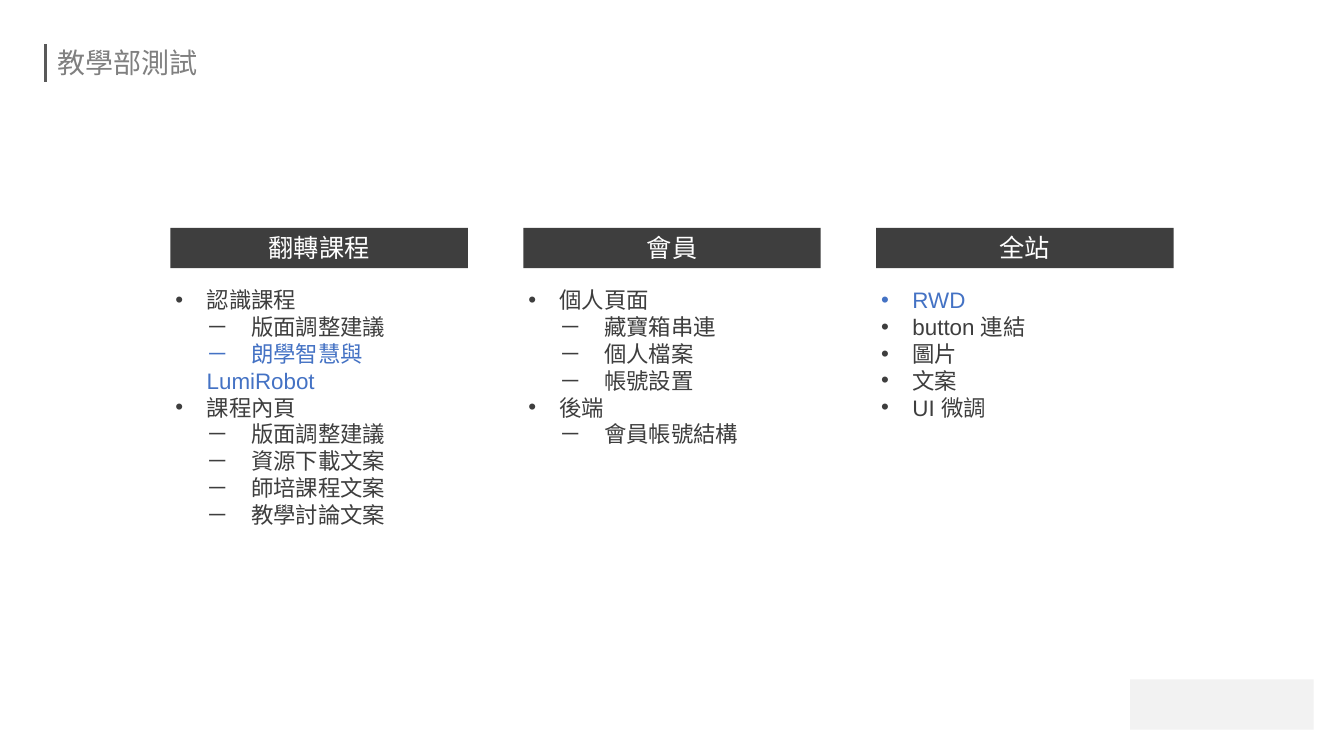
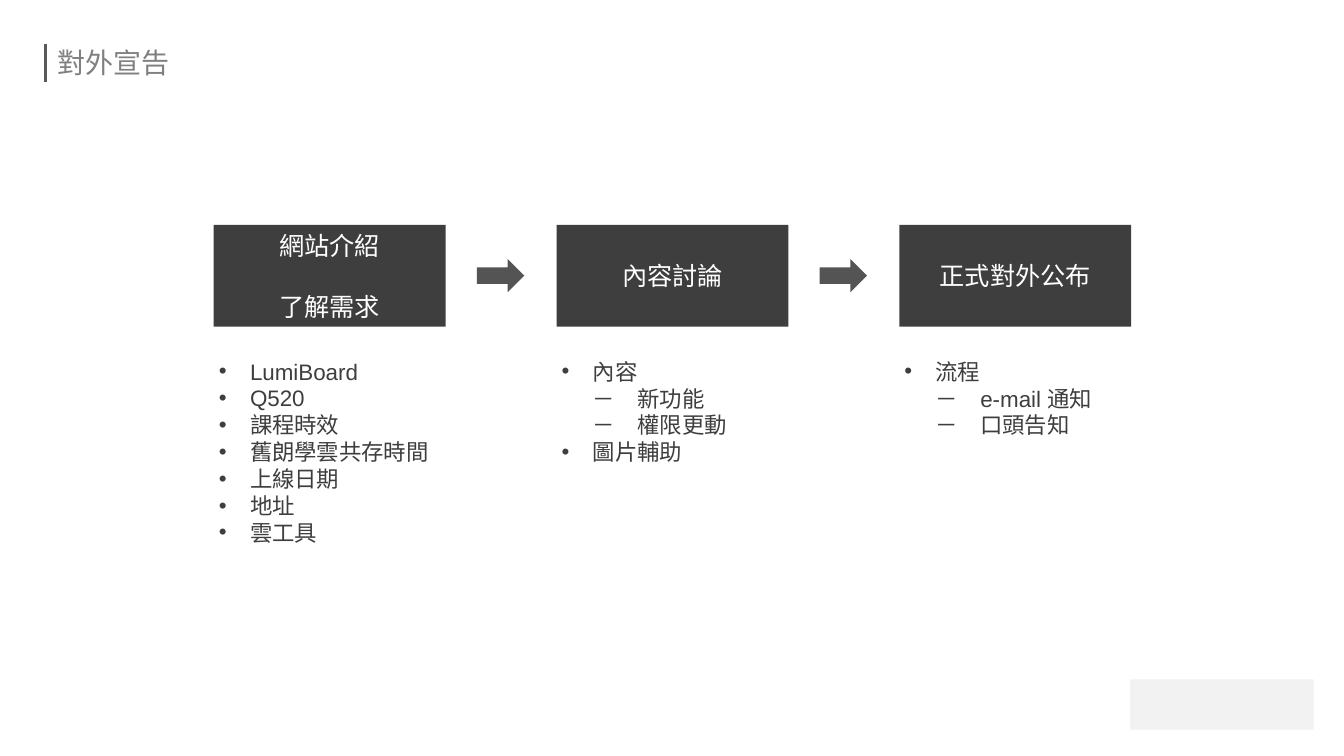
from dataclasses import dataclass

from lxml import etree
from pptx import Presentation
from pptx.dml.color import RGBColor
from pptx.enum.shapes import MSO_CONNECTOR, MSO_SHAPE
from pptx.enum.text import MSO_ANCHOR, PP_ALIGN
from pptx.oxml.ns import qn
from pptx.util import Inches, Pt

RECTANGLE, RIGHT_ARROW = MSO_SHAPE.RECTANGLE, MSO_SHAPE.RIGHT_ARROW
STRAIGHT = MSO_CONNECTOR.STRAIGHT
TOP, MIDDLE = MSO_ANCHOR.TOP, MSO_ANCHOR.MIDDLE
LEFT, CENTER = PP_ALIGN.LEFT, PP_ALIGN.CENTER


@dataclass(frozen=True)
class Theme:
    font: str = "Arial"
    title: str = "808080"
    title_bar: str = "595959"
    dark: str = "3E3E3E"
    accent: str = "4472C4"
    on_dark: str = "FFFFFF"
    arrow: str = "545454"
    footer: str = "F2F2F2"
    title_size: int = 20
    header_size: int = 18
    body_size: int = 16
    bar_width: float = 2.25
    inset: float = 0.05
    indent: float = 0.31


@dataclass(frozen=True)
class Item:
    text: str
    sub: bool = False
    accent: bool = False


def sub(text, accent=False):
    return Item("－　" + text, True, accent)


def write(paragraph, text, *, size, color, font, align=LEFT, space_before=0):
    paragraph.alignment = align
    paragraph.space_before = Pt(space_before)
    run = paragraph.add_run()
    run.text = text
    run.font.name = font
    run.font.size = Pt(size)
    run.font.color.rgb = RGBColor.from_string(color)


def indent(paragraph, depth, bullet):
    """Indent the paragraph, hanging a bullet in the margin if asked."""
    properties = paragraph._p.get_or_add_pPr()
    properties.set("marL", str(Inches(depth)))
    properties.set("indent", str(Inches(-depth if bullet else 0)))
    if bullet:
        etree.SubElement(properties, qn("a:buFont"), typeface="Arial")
        etree.SubElement(properties, qn("a:buChar"), char="•")
    else:
        etree.SubElement(properties, qn("a:buNone"))


class Deck:
    def __init__(self, theme):
        self.theme = theme
        self.presentation = Presentation()
        self.presentation.slide_width = Inches(13.33)
        self.presentation.slide_height = Inches(7.5)
        self.slide = None

    def new_slide(self, title):
        theme = self.theme
        layout = self.presentation.slide_layouts[6]
        self.slide = self.presentation.slides.add_slide(layout)
        frame = self.text_box(0.52, 0.4, 4.61, 0.44)
        write(frame.paragraphs[0], title, size=theme.title_size,
              color=theme.title, font=theme.font)
        self.line(0.45, 0.44, 0.45, 0.81)
        self.block(RECTANGLE, 11.21, 6.74, 1.82, 0.5, theme.footer)

    def fit(self, frame, anchor):
        frame.word_wrap = True
        frame.vertical_anchor = anchor
        frame.margin_left = frame.margin_right = Inches(self.theme.inset)
        frame.margin_top = frame.margin_bottom = Inches(self.theme.inset)
        return frame

    def text_box(self, left, top, width, height):
        box = self.slide.shapes.add_textbox(
            Inches(left), Inches(top), Inches(width), Inches(height))
        return self.fit(box.text_frame, TOP)

    def line(self, x1, y1, x2, y2):
        bar = self.slide.shapes.add_connector(
            STRAIGHT, Inches(x1), Inches(y1), Inches(x2), Inches(y2))
        bar.line.color.rgb = RGBColor.from_string(self.theme.title_bar)
        bar.line.width = Pt(self.theme.bar_width)
        etree.SubElement(bar._element.spPr, qn("a:effectLst"))

    def block(self, preset, left, top, width, height, fill):
        shape = self.slide.shapes.add_shape(
            preset, Inches(left), Inches(top), Inches(width), Inches(height))
        shape.shadow.inherit = False
        shape.fill.solid()
        shape.fill.fore_color.rgb = RGBColor.from_string(fill)
        shape.line.fill.background()
        return shape

    def header(self, lines, left, top, width, height):
        theme = self.theme
        shape = self.block(RECTANGLE, left, top, width, height, theme.dark)
        frame = self.fit(shape.text_frame, MIDDLE)
        for number, text in enumerate(lines):
            paragraph = frame.add_paragraph() if number else frame.paragraphs[0]
            write(paragraph, text, size=theme.header_size, color=theme.on_dark,
                  font=theme.font, align=CENTER, space_before=22 if number else 0)

    def items(self, items, left, top, width, height):
        theme = self.theme
        frame = self.text_box(left, top, width, height)
        for number, item in enumerate(items):
            paragraph = frame.add_paragraph() if number else frame.paragraphs[0]
            write(paragraph, item.text, size=theme.body_size, font=theme.font,
                  color=theme.accent if item.accent else theme.dark)
            indent(paragraph, theme.indent, bullet=not item.sub)

    def arrow(self, left, top):
        self.block(RIGHT_ARROW, left, top, 0.47, 0.33, self.theme.arrow)


TEST_AREAS = [
    ("翻轉課程", 2.52, [
        Item("認識課程"), sub("版面調整建議"),
        sub("朗學智慧與LumiRobot", accent=True),
        Item("課程內頁"), sub("版面調整建議"), sub("資源下載文案"),
        sub("師培課程文案"), sub("教學討論文案")]),
    ("會員", 1.99, [
        Item("個人頁面"), sub("藏寶箱串連"), sub("個人檔案"), sub("帳號設置"),
        Item("後端"), sub("會員帳號結構")]),
    ("全站", 1.45, [
        Item("RWD", accent=True), Item("button 連結"), Item("圖片"),
        Item("文案"), Item("UI 微調")]),
]

ANNOUNCEMENT_STEPS = [
    (["網站介紹", "了解需求"], 2.26, [
        Item("LumiBoard"), Item("Q520"), Item("課程時效"),
        Item("舊朗學雲共存時間"), Item("上線日期"), Item("地址"), Item("雲工具")]),
    (["內容討論"], 1.45, [
        Item("內容"), sub("新功能"), sub("權限更動"), Item("圖片輔助")]),
    (["正式對外公布"], 1.18, [
        Item("流程"), sub("e-mail 通知"), sub("口頭告知")]),
]


def build_testing(deck):
    deck.new_slide("教學部測試")
    for column, (area, height, items) in enumerate(TEST_AREAS):
        left = 1.69 + 3.5 * column
        deck.items(items, left, 2.79, 2.95, height)
        deck.header([area], left, 2.26, 2.95, 0.4)


def build_announcement(deck):
    deck.new_slide("對外宣告")
    for column, (step, height, items) in enumerate(ANNOUNCEMENT_STEPS):
        left = 2.12 + 3.4 * column
        deck.header(step, left, 2.23, 2.3, 1.01)
        deck.items(items, left, 3.5, 2.3, height)
        if column:
            deck.arrow(left - 0.79, 2.57)


def main():
    deck = Deck(Theme())
    build_testing(deck)
    build_announcement(deck)
    deck.presentation.save("out.pptx")


if __name__ == "__main__":
    main()
